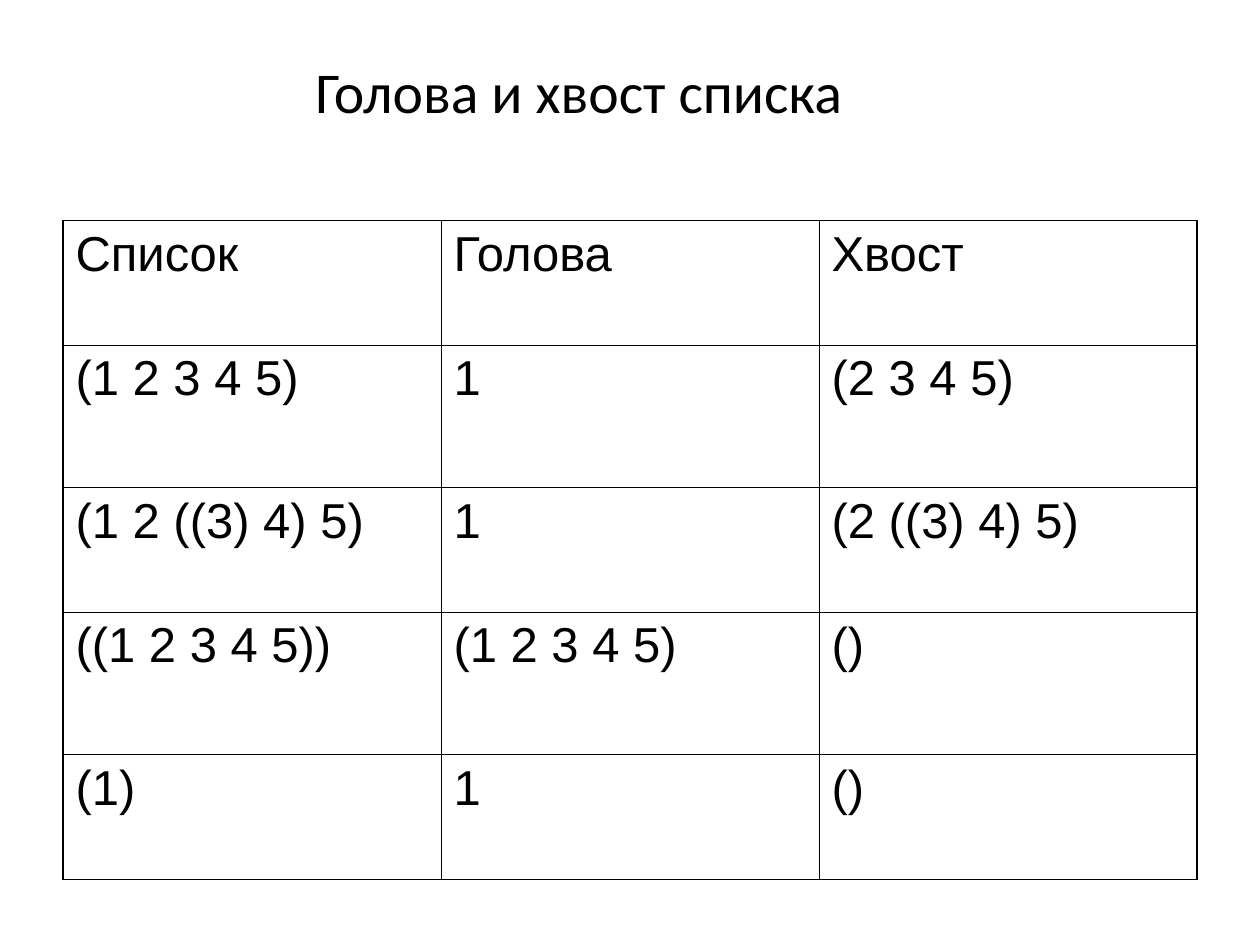
from lxml.etree import SubElement
from pptx import Presentation
from pptx.dml.color import RGBColor
from pptx.enum.text import MSO_ANCHOR, PP_ALIGN
from pptx.oxml.ns import qn
from pptx.util import Emu, Pt

SCALE = 9144
BLACK = RGBColor(0, 0, 0)
WHITE = RGBColor(255, 255, 255)
THICK, THIN = Pt(1.08), Pt(0.45)
TITLE = "Голова и хвост списка"
ROWS = [
    ("Список", "Голова", "Хвост"),
    ("(1 2 3 4 5)", "1", "(2 3 4 5)"),
    ("(1 2 ((3) 4) 5)", "1", "(2 ((3) 4) 5)"),
    ("((1 2 3 4 5))", "(1 2 3 4 5)", "()"),
    ("(1)", "1", "()"),
]
HEIGHTS = [99, 113, 99, 113, 99]


def px(num):
    """Turn px into EMU."""
    return Emu(num * SCALE)


def style(para, face, size):
    """Set the font of a paragraph's runs."""
    for run in para.runs:
        run.font.name = face
        run.font.size = Pt(size)
        run.font.color.rgb = BLACK


def add_title(slide, left, top, width, height):
    """Place the centred title in its box."""
    frame = slide.shapes.add_textbox(*map(px, (left, top, width, height))).text_frame
    frame.word_wrap = True
    frame.vertical_anchor = MSO_ANCHOR.MIDDLE
    frame.text = TITLE
    para = frame.paragraphs[0]
    para.alignment = PP_ALIGN.CENTER
    para.line_spacing = 0.9
    style(para, "Calibri", 33)


def add_edge(cell, side, width):
    """Draw one border of a cell."""
    props = cell._tc.get_or_add_tcPr()
    line = SubElement(props, qn(f"a:ln{side}"), w=str(int(width)))
    fill = SubElement(line, qn("a:solidFill"))
    SubElement(fill, qn("a:srgbClr"), val=str(BLACK))


def add_grid(slide, left, top, width):
    """Place the table of lists with a thick outer frame."""
    count, cols = len(ROWS), len(ROWS[0])
    box = map(px, (left, top, width, sum(HEIGHTS)))
    table = slide.shapes.add_table(count, cols, *box).table
    table.first_row = table.horz_banding = False
    for col in table.columns:
        col.width = px(width // cols)
    for i, (row, high) in enumerate(zip(ROWS, HEIGHTS)):
        table.rows[i].height = px(high)
        for j, text in enumerate(row):
            cell = table.cell(i, j)
            outer = {"L": j == 0, "R": j == cols - 1, "T": i == 0, "B": i == count - 1}
            for side, thick in outer.items():
                add_edge(cell, side, THICK if thick else THIN)
            cell.fill.solid()
            cell.fill.fore_color.rgb = WHITE
            cell.text_frame.text = text
            style(cell.text_frame.paragraphs[0], "Arial", 28)


def main():
    """Build and save the slide."""
    deck = Presentation()
    deck.slide_width, deck.slide_height = px(1000), px(750)
    slide = deck.slides.add_slide(deck.slide_layouts[6])
    add_title(slide, 21, 25, 877, 100)
    add_grid(slide, 50, 175, 900)
    deck.save("out.pptx")


if __name__ == "__main__":
    main()
